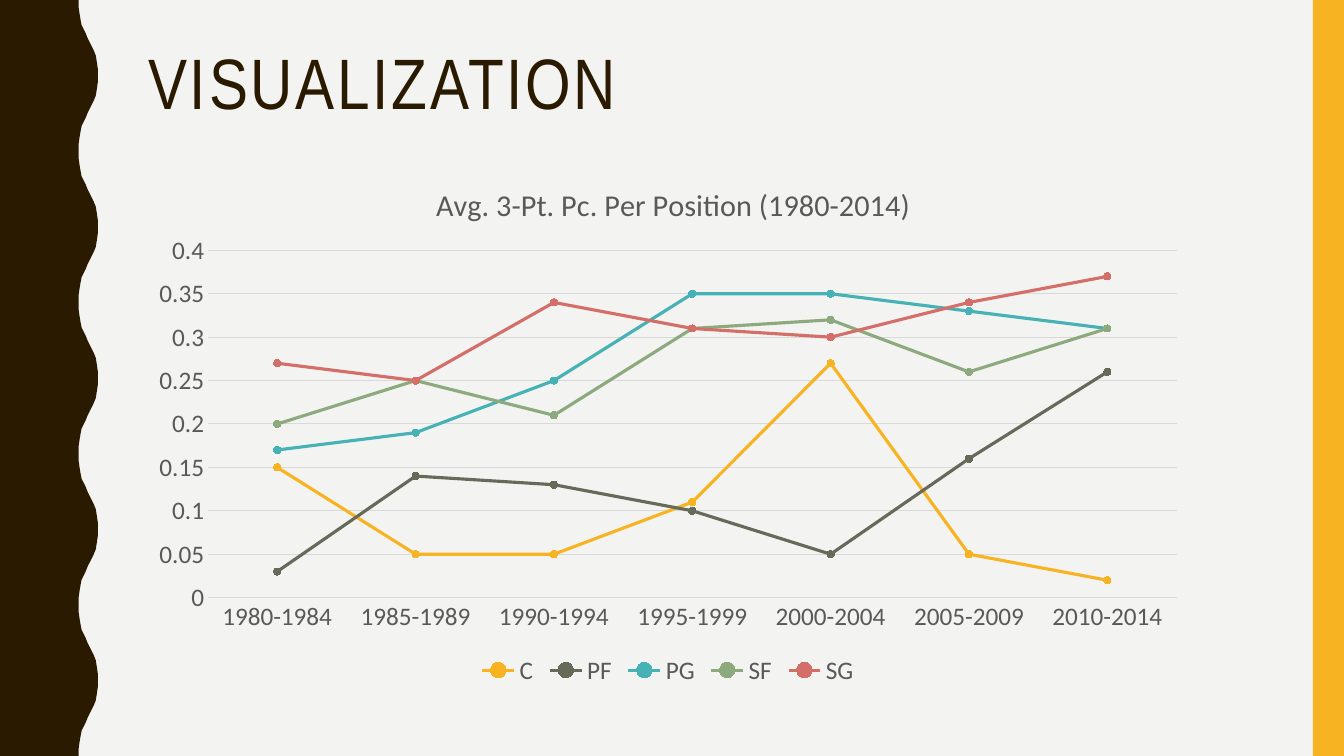
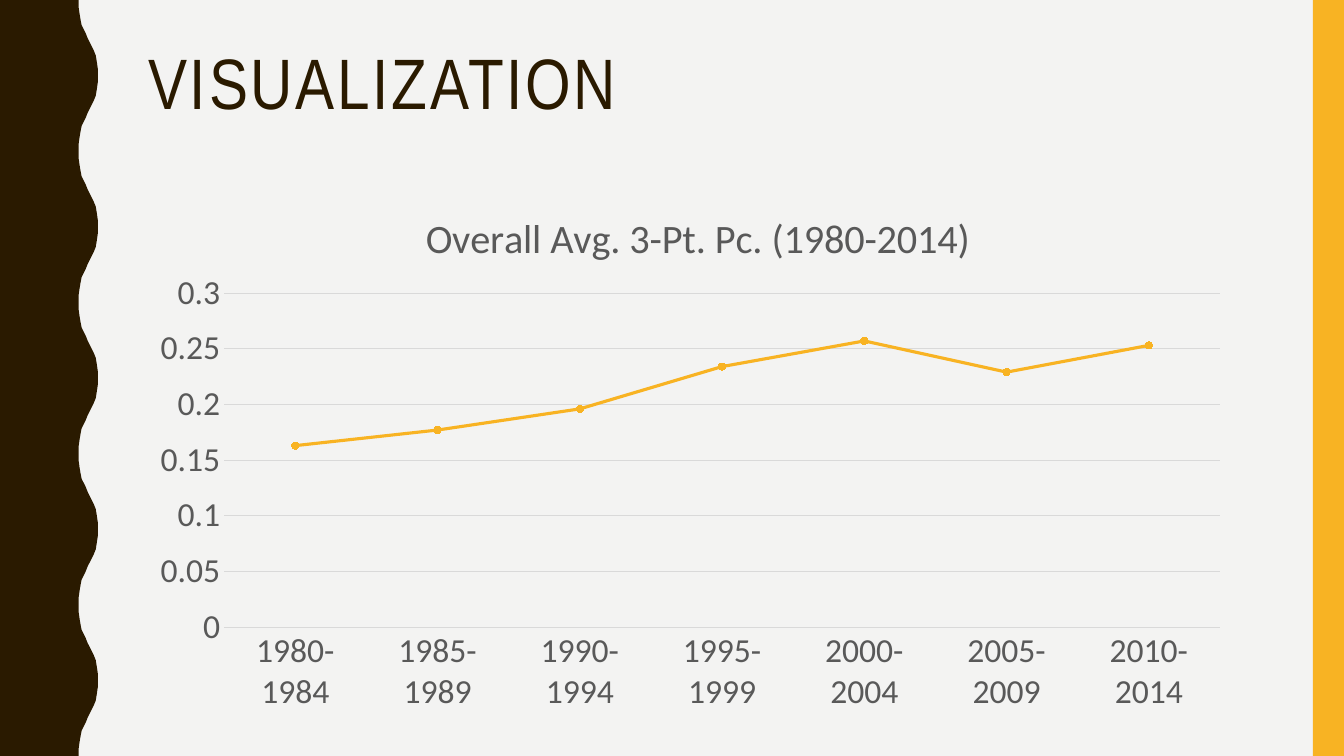
from dataclasses import dataclass

import pptx
import pptx.chart.data
import pptx.dml.color
import pptx.enum.chart
import pptx.enum.shapes
import pptx.enum.text
import pptx.oxml
import pptx.oxml.ns
import pptx.util

Inches = pptx.util.Inches
Pt = pptx.util.Pt
RGB = pptx.dml.color.RGBColor.from_string


@dataclass(frozen=True)
class Theme:
    paper: str = "F3F3F2"
    dark: str = "2A1A00"
    gold: str = "F8B323"
    text: str = "595959"
    grid: str = "D9D9D9"
    lines: tuple = ("F8B323", "656A59", "46B2B5", "8CAA7E", "D36F68")
    head: str = "Arial Narrow"
    body: str = "Calibri"
    size: int = 51
    ratio: float = 1.2  # chart title size against chart text size


theme = Theme()


def style(font, size, color=theme.text, face=theme.body):
    font.size, font.name, font.bold = Pt(size), face, False
    font.color.rgb = RGB(color)


def place(node, index, spots, inner=False):
    """Give a chart part a fixed place, in shares of the chart."""
    for old in node.findall(pptx.oxml.ns.qn("c:layout")):
        node.remove(old)
    tags = '<c:layoutTarget val="inner"/>' if inner else ""
    tags += "".join(f'<c:{key}Mode val="edge"/>' for key in "xy")
    tags += "".join(f'<c:{key} val="{val}"/>' for key, val in zip("xywh", spots))
    node.insert(index, pptx.oxml.parse_xml(
        f'<c:layout {pptx.oxml.ns.nsdecls("c")}>'
        f"<c:manualLayout>{tags}</c:manualLayout></c:layout>"))


deck = pptx.Presentation()
deck.slide_width, deck.slide_height = Inches(13.33), Inches(7.5)
layout = deck.slide_layouts.get_by_name("Title Only")
master = deck.slide_master
master.background.fill.solid()
master.background.fill.fore_color.rgb = RGB(theme.paper)

# Slide content
years = [f"{year}-{year + 4}" for year in range(1980, 2011, 5)]
pages = [
    dict(title="Avg. 3-Pt. Pc. Per Position (1980-2014)", size=18, top=0.4,
         box=(1.37, 1.5, 10.51, 5.35), head=(0.276, 0.05),
         plot=(0.066, 0.184, 0.914, 0.644),
         data={"C": (0.15, 0.05, 0.05, 0.11, 0.27, 0.05, 0.02),
               "PF": (0.03, 0.14, 0.13, 0.1, 0.05, 0.16, 0.26),
               "PG": (0.17, 0.19, 0.25, 0.35, 0.35, 0.33, 0.31),
               "SF": (0.2, 0.25, 0.21, 0.31, 0.32, 0.26, 0.31),
               "SG": (0.27, 0.25, 0.34, 0.31, 0.3, 0.34, 0.37)}),
    dict(title="Overall Avg. 3-Pt. Pc. (1980-2014)", size=24, top=0.3,
         box=(1.37, 1.71, 10.95, 5.47), head=(0.254, 0.056),
         plot=(0.078, 0.219, 0.902, 0.606),
         data={"Series 1": (0.163, 0.177, 0.196, 0.234, 0.257, 0.229, 0.253)}),
]
slides = [deck.slides.add_slide(layout) for page in pages]

# Wavy edge, in hundredths of an inch: one swell out and back, five times
swell = [(78, 0), (78, 7), (79, 14), (80, 20), (81, 25), (83, 29), (85, 33),
         (87, 38), (89, 42), (91, 46), (93, 50), (95, 55), (96, 61), (97, 68)]
wave = swell + [(97, 75)] + [(x, 150 - y) for x, y in swell[:0:-1]]
edge = [(x, y + 150 * turn) for turn in range(5) for x, y in wave]
shapes = slides[0].shapes
pen = shapes.build_freeform(0, 0, scale=Inches(0.01))
pen.add_line_segments(edge + [(78, 750), (0, 750)], close=True)
band = shapes.add_shape(pptx.enum.shapes.MSO_SHAPE.RECTANGLE,
                        Inches(13.02), 0, Inches(0.31), Inches(7.5))

# Both bands move to the master, behind its placeholders
for spot, (shape, color) in enumerate(
        [(pen.convert_to_shape(), theme.dark), (band, theme.gold)], start=2):
    shape.shadow.inherit = False
    shape.fill.solid()
    shape.fill.fore_color.rgb = RGB(color)
    shape.line.fill.background()
    master.shapes.element.insert(spot, shape.element)

for slide, page in zip(slides, pages):
    # Title
    title = slide.shapes.title
    title.left, title.top, title.width, title.height = map(
        Inches, (1.37, 0.42, 11.13, 1.63))
    frame = title.text_frame
    frame.text = "VISUALIZATION"
    frame.vertical_anchor = pptx.enum.text.MSO_ANCHOR.TOP
    para = frame.paragraphs[0]
    para.alignment = pptx.enum.text.PP_ALIGN.LEFT
    para.line_spacing = 0.9
    run = para.runs[0]
    style(run.font, theme.size, theme.dark, theme.head)
    run.font.element.set("spc", "200") if hasattr(run.font, "element") else \
        run.font.fill and para.runs[0]._r.get_or_add_rPr().set("spc", "200")

    # Chart
    data = pptx.chart.data.CategoryChartData()
    data.categories = years
    for name, vals in page["data"].items():
        data.add_series(name, vals)
    chart = slide.shapes.add_chart(
        pptx.enum.chart.XL_CHART_TYPE.LINE_MARKERS,
        *map(Inches, page["box"]), data).chart
    style(chart.font, page["size"])
    chart.plots[0].vary_by_categories = False

    # Chart title and legend
    chart.has_title = True
    label = chart.chart_title.text_frame
    label.text = page["title"]
    style(label.paragraphs[0].runs[0].font, page["size"] * theme.ratio)
    place(chart.element.find(".//" + pptx.oxml.ns.qn("c:title")), 1, page["head"])
    place(chart.element.find(".//" + pptx.oxml.ns.qn("c:plotArea")), 0,
          page["plot"], inner=True)
    chart.has_legend = len(page["data"]) > 1
    if chart.has_legend:
        chart.legend.position = pptx.enum.chart.XL_LEGEND_POSITION.BOTTOM
        chart.legend.include_in_layout = False
        style(chart.legend.font, page["size"])

    # Axes
    for axis in (chart.category_axis, chart.value_axis):
        axis.major_tick_mark = pptx.enum.chart.XL_TICK_MARK.NONE
        axis.minor_tick_mark = pptx.enum.chart.XL_TICK_MARK.NONE
        style(axis.tick_labels.font, page["size"])
    axis.minimum_scale, axis.maximum_scale = 0, page["top"]
    axis.major_unit = 0.05
    axis.format.line.fill.background()
    axis.has_major_gridlines = True
    for line in (axis.major_gridlines.format.line,
                 chart.category_axis.format.line):
        line.color.rgb = RGB(theme.grid)
        line.width = Pt(0.75)

    # Series
    for series, color in zip(chart.plots[0].series, theme.lines):
        series.smooth = False
        series.format.line.color.rgb = RGB(color)
        series.format.line.width = Pt(2.25)
        mark = series.marker
        mark.style = pptx.enum.chart.XL_MARKER_STYLE.CIRCLE
        mark.size = 5
        mark.format.fill.solid()
        mark.format.fill.fore_color.rgb = RGB(color)
        mark.format.line.color.rgb = RGB(color)

deck.save("out.pptx")
